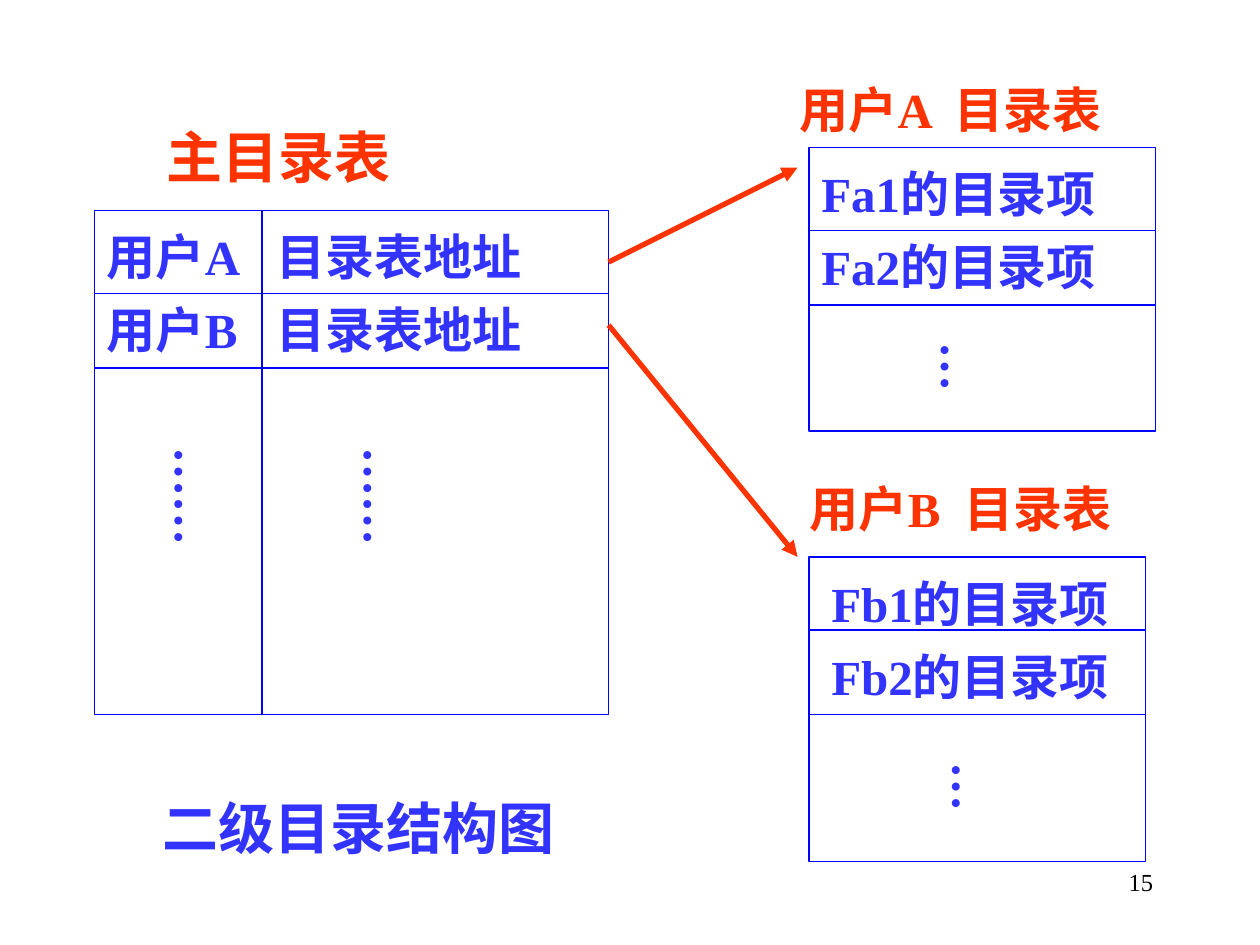
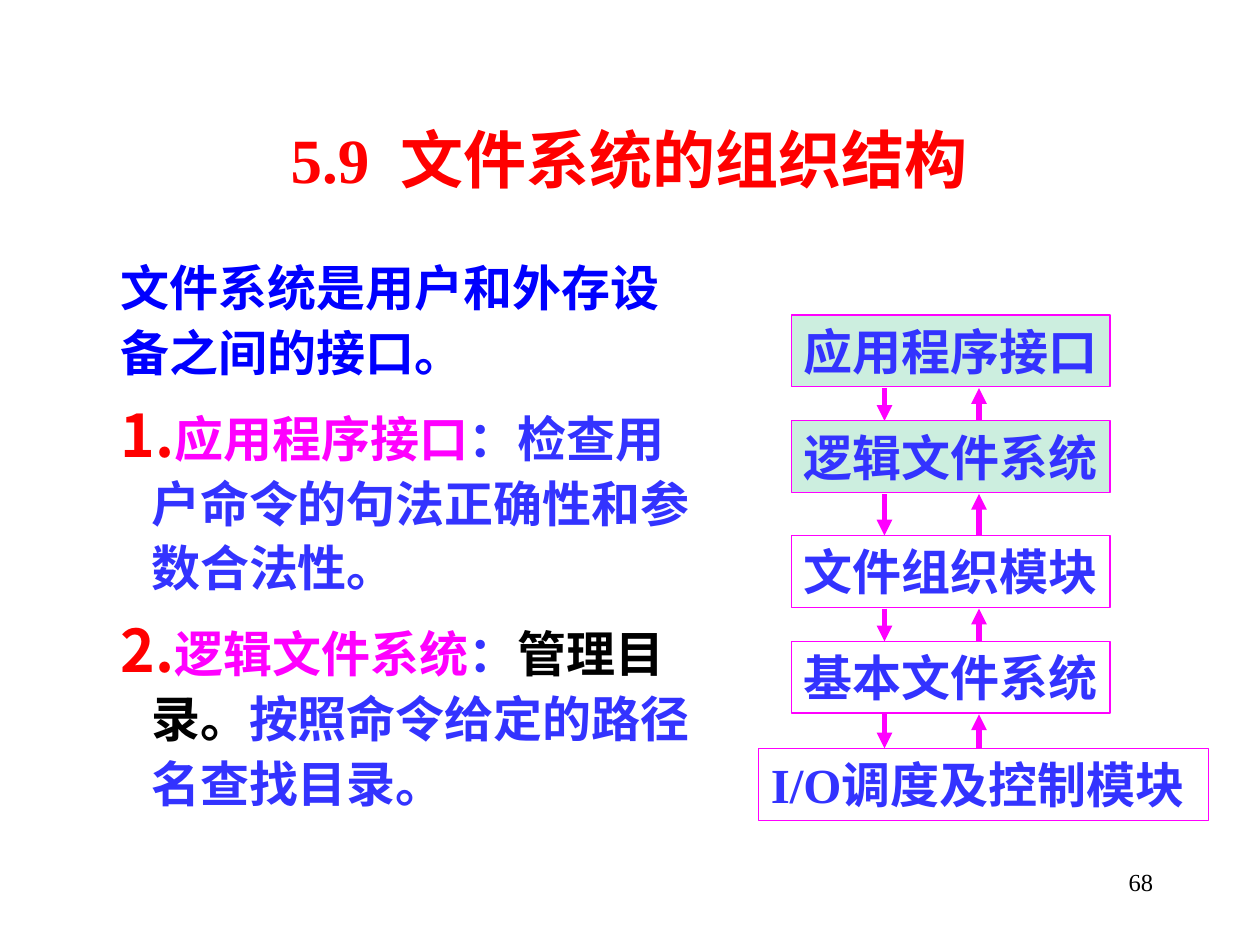
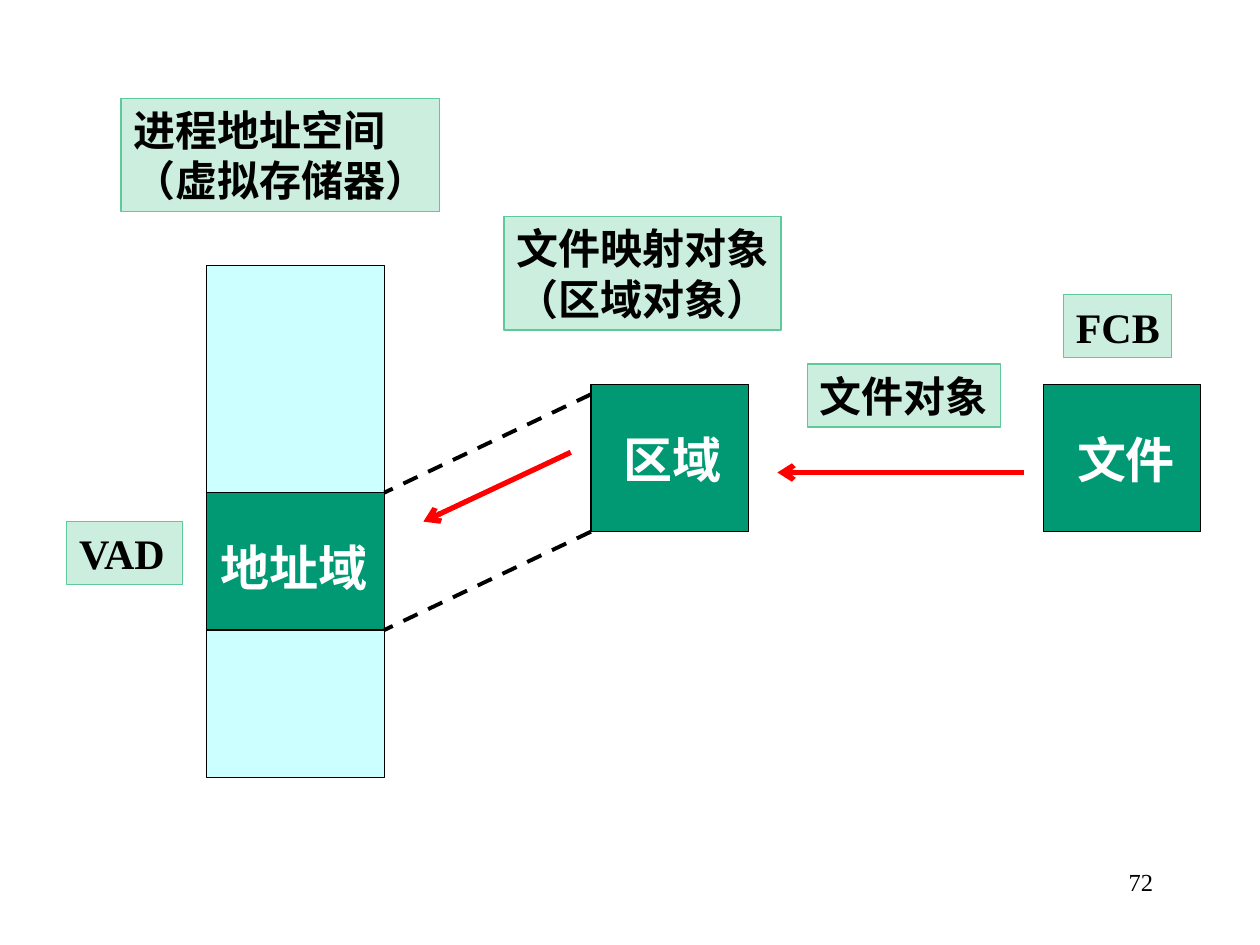
"""Build three slides on file directories, file system layers and file mapping."""
from lxml import etree
from pptx import Presentation
from pptx.dml.color import RGBColor
from pptx.enum.dml import MSO_LINE
from pptx.enum.shapes import MSO_CONNECTOR, MSO_SHAPE
from pptx.enum.text import MSO_ANCHOR, MSO_AUTO_SIZE, PP_ALIGN
from pptx.oxml.ns import qn
from pptx.util import Inches, Pt

RECT = MSO_SHAPE.RECTANGLE
LINE = MSO_CONNECTOR.STRAIGHT
DASH = MSO_LINE.DASH
TOP, MIDDLE = MSO_ANCHOR.TOP, MSO_ANCHOR.MIDDLE
LEFT, CENTER, RIGHT = PP_ALIGN.LEFT, PP_ALIGN.CENTER, PP_ALIGN.RIGHT
NO_FIT = MSO_AUTO_SIZE.NONE

FONT = "Times New Roman"
BLACK = RGBColor(0x00, 0x00, 0x00)
WHITE = RGBColor(0xFF, 0xFF, 0xFF)
BLUE = RGBColor(0x00, 0x00, 0xFF)
INDIGO = RGBColor(0x33, 0x33, 0xFF)
RED = RGBColor(0xFF, 0x00, 0x00)
ORANGE = RGBColor(0xFF, 0x33, 0x00)
PINK = RGBColor(0xFF, 0x00, 0xFF)
MINT = RGBColor(0xCC, 0xEE, 0xDF)
LEAF = RGBColor(0x60, 0xC9, 0x9C)
GREEN = RGBColor(0x00, 0x99, 0x73)
CYAN = RGBColor(0xCC, 0xFF, 0xFF)


def put(slide, at, text="", size=28, color=INDIGO, fill=None, edge=None,
        wrap=False, bold=True, align=LEFT, vert=False):
    """Add a text box, or a rectangle when an edge colour is given."""
    spot = [Inches(n) for n in at]
    if edge is None:
        box = slide.shapes.add_textbox(*spot)
    else:
        box = slide.shapes.add_shape(RECT, *spot)
        box.shadow.inherit = False
        box.line.color.rgb = edge
        box.line.width = Pt(0.75)
        if fill is None:
            box.fill.background()
        else:
            box.fill.solid()
            box.fill.fore_color.rgb = fill
    frame = box.text_frame
    frame.word_wrap = wrap
    frame.vertical_anchor = TOP
    if vert:
        box.element.txBody.bodyPr.set("vert", "eaVert")
        frame.margin_left = frame.margin_right = Inches(0.05)
        frame.margin_top = frame.margin_bottom = Inches(0.1)
    frame.text = text
    for para in frame.paragraphs:
        para.alignment = align
        for run in para.runs:
            run.font.name = FONT
            run.font.size = Pt(size)
            run.font.bold = bold
            run.font.color.rgb = color


def join(slide, ends, color, width=3, head=None, dash=None):
    """Add a straight line from one point to another."""
    line = slide.shapes.add_connector(LINE, *[Inches(n) for n in ends])
    line.line.color.rgb = color
    line.line.width = Pt(width)
    if dash is not None:
        line.line.dash_style = dash
    props = line.element.spPr
    if head:
        etree.SubElement(props.find(qn("a:ln")), qn("a:tailEnd"), type=head)
    etree.SubElement(props, qn("a:effectLst"))


deck = Presentation()
deck.slide_width, deck.slide_height = Inches(10), Inches(7.5)
slides = []
for layout, number in [(6, "15"), (1, "68"), (6, "72")]:
    slide = deck.slides.add_slide(deck.slide_layouts[layout])
    put(slide, (7.17, 6.83, 2.08, 0.5), number, 14, BLACK,
        wrap=True, bold=False, align=RIGHT)
    slides.append(slide)
tree, stack, map_slide = slides

for x, y, w, h, rows in [
    (0.75, 1.67, 4.08, 4, (2.33, 2.92)),
    (6.42, 1.17, 2.75, 2.25, (1.83, 2.42)),
    (6.42, 4.42, 2.67, 2.42, (5, 5.67)),
]:
    put(tree, (x, y, w, h), edge=BLUE)
    for row in rows:
        join(tree, (x, row, x + w, row), BLUE, 0.75)
join(tree, (2.08, 1.67, 2.08, 5.67), BLUE, 0.75)

for x, y, w, text, size, color in [
    (1.22, 0.92, 2.92, "主目录表", 32, ORANGE),
    (6.25, 0.58, 3.16, "用户A  目录表", 28, ORANGE),
    (6.33, 3.75, 3, "用户B  目录表", 28, ORANGE),
    (1.19, 6.25, 4.59, "二级目录结构图", 32, INDIGO),
]:
    put(tree, (x, y, w, 0.6), text, size, color, wrap=True)

for x, y, w, texts in [
    (0.75, 1.75, 1.35, ("用户A", "用户B")),
    (2.1, 1.75, 2.3, ("目录表地址", "目录表地址")),
    (6.42, 1.25, 2.64, ("Fa1的目录项", "Fa2的目录项")),
    (6.5, 4.5, 2.6, ("Fb1的目录项", "Fb2的目录项")),
]:
    for i, text in enumerate(texts):
        put(tree, (x, y + 0.58 * i, w, 0.57), text, wrap=True)

for x, y, h, text in [
    (1.17, 3.45, 0.88, "……"),
    (2.67, 3.45, 0.88, "……"),
    (7.25, 2.62, 0.49, "…"),
    (7.34, 5.95, 0.49, "…"),
]:
    put(tree, (x, y, 0.66, h), text, vert=True)

join(tree, (4.83, 2.08, 6.33, 1.33), ORANGE, head="triangle")
join(tree, (4.83, 2.58, 6.33, 4.42), ORANGE, head="triangle")

title = stack.shapes.title
title.left, title.top = Inches(0.83), Inches(0.84)
title.width, title.height = Inches(8.33), Inches(0.83)
title.text_frame.text = "5.9  文件系统的组织结构"
title.text_frame.vertical_anchor = MIDDLE
para = title.text_frame.paragraphs[0]
para.alignment = CENTER
font = para.runs[0].font
font.name, font.size, font.bold = FONT, Pt(36), True
font.color.rgb = RED

body = stack.placeholders[1]
body.left, body.top = Inches(0.86), Inches(1.95)
body.width, body.height = Inches(4.8), Inches(4.55)
frame = body.text_frame
frame.auto_size = NO_FIT
notes = [
    [("文件系统是用户和外存设备之间的接口。", BLUE)],
    [("应用程序接口", PINK), ("：检查用户命令的句法正确性和参数合法性。", INDIGO)],
    [("逻辑文件系统", PINK), ("：", INDIGO), ("管理目录。", BLACK),
     ("按照命令给定的路径名查找目录。", INDIGO)],
]
for i, parts in enumerate(notes):
    para = frame.add_paragraph() if i else frame.paragraphs[0]
    para.line_spacing = 1.1
    para.space_before = Pt(12.2)
    for text, color in parts:
        run = para.add_run()
        run.text = text
        run.font.name, run.font.size, run.font.bold = FONT, Pt(28), True
        run.font.color.rgb = color
    props = para._p.get_or_add_pPr()
    hang = Inches(0.24) if i else 0
    props.set("marL", str(hang))
    props.set("indent", str(-hang))
    if i:
        tint = etree.SubElement(props, qn("a:buClr"))
        etree.SubElement(tint, qn("a:srgbClr"), val=str(RED))
        etree.SubElement(props, qn("a:buSzPct"), val="120000")
        etree.SubElement(props, qn("a:buAutoNum"), type="arabicPeriod")
    else:
        etree.SubElement(props, qn("a:buNone"))

layers = [
    (6.28, 2.5, 2.53, "应用程序接口", MINT),
    (6.28, 3.34, 2.53, "逻辑文件系统", MINT),
    (6.28, 4.25, 2.53, "文件组织模块", WHITE),
    (6.28, 5.09, 2.53, "基本文件系统", WHITE),
    (6.02, 5.94, 3.57, "I/O调度及控制模块", WHITE),
]
for x, y, w, text, fill in layers:
    put(stack, (x, y, w, 0.57), text, fill=fill, edge=PINK)
for upper, lower in zip(layers, layers[1:]):
    start, end = upper[1] + 0.58, lower[1]
    join(stack, (7.02, start, 7.02, end), PINK, head="triangle")
    join(stack, (7.77, end, 7.77, start), PINK, head="triangle")

for x, y, w, h, fill in [
    (1.64, 2.11, 1.41, 4.06, CYAN),
    (1.64, 3.91, 1.41, 1.09, GREEN),
    (4.69, 3.05, 1.25, 1.17, GREEN),
    (8.28, 3.05, 1.25, 1.17, GREEN),
]:
    put(map_slide, (x, y, w, h), fill=fill, edge=BLACK)

for x, y, w, h, text in [
    (0.96, 0.78, 2.53, 0.9, "进程地址空间\n（虚拟存储器）"),
    (4, 1.72, 2.2, 0.9, "文件映射对象\n（区域对象）"),
    (6.41, 2.89, 1.53, 0.5, "文件对象"),
    (8.44, 2.34, 0.86, 0.5, "FCB"),
    (0.53, 4.14, 0.92, 0.5, "VAD"),
]:
    put(map_slide, (x, y, w, h), text, 24, BLACK, MINT, LEAF)

for x, y, w, text in [
    (1.65, 4.22, 1.5, "地址域"),
    (4.85, 3.36, 1.1, "区域"),
    (8.45, 3.36, 1.1, "文件"),
]:
    put(map_slide, (x, y, w, 0.57), text, color=WHITE, wrap=True)

for y in (3.13, 4.22):
    join(map_slide, (4.69, y, 3.05, y + 0.78), BLACK, 2.25, dash=DASH)
join(map_slide, (8.13, 3.75, 6.17, 3.75), RED, head="arrow")
join(map_slide, (4.53, 3.59, 3.36, 4.14), RED, head="arrow")

deck.save("out.pptx")
